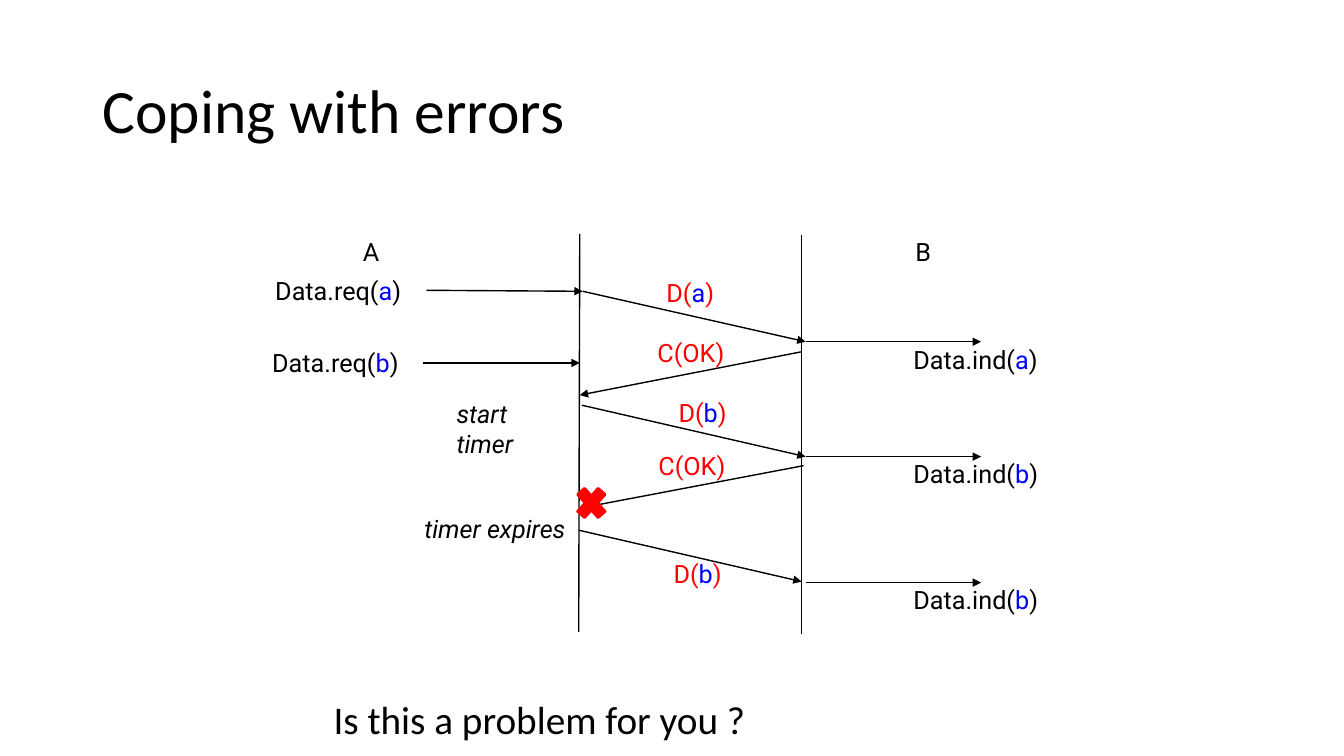
from dataclasses import dataclass
from typing import Any

from lxml.etree import SubElement
from pptx import Presentation
from pptx.dml.color import RGBColor
from pptx.enum.shapes import MSO_CONNECTOR, MSO_SHAPE
from pptx.enum.text import MSO_ANCHOR
from pptx.oxml.ns import qn
from pptx.util import Inches, Pt

BLACK, RED, BLUE = "000000", "FF0000", "0000FF"
LIFELINE_A, LIFELINE_B = 5.75, 7.95
ARROW_B, IND_END = 7.99, 9.73
LABEL_H = 0.26

Runs = tuple[tuple[str, str], ...]


@dataclass(frozen=True)
class Label:
    x: float
    y: float
    w: float
    h: float
    runs: Runs
    size: int = 18
    font: str = "Roboto"
    italic: bool = False
    spacing: float = 1.0
    padded: bool = True
    wrap: bool = False
    anchor: MSO_ANCHOR = MSO_ANCHOR.TOP


@dataclass(frozen=True)
class Line:
    x1: float
    y1: float
    x2: float
    y2: float
    arrow: bool = True


def rgb(color: str) -> RGBColor:
    return RGBColor.from_string(color)


def apply(target: Any, values: dict[str, Any]) -> None:
    for name, value in values.items():
        setattr(target, name, value)


def primitive(name: str, arg: str, color: str = BLACK) -> Runs:
    return (f"{name}(", color), (arg, BLUE), (")", color)


def tight(x: float, y: float, w: float, runs: Runs) -> Label:
    return Label(x, y, w, LABEL_H, runs, spacing=0.84, padded=False)


def add_label(slide: Any, label: Label) -> None:
    box = (Inches(v) for v in (label.x, label.y, label.w, label.h))
    tf = slide.shapes.add_textbox(*box).text_frame
    pad_x, pad_y = (Inches(0.1), Inches(0.05)) if label.padded else (0, 0)
    apply(tf, {
        "word_wrap": label.wrap,
        "vertical_anchor": label.anchor,
        "margin_left": pad_x,
        "margin_right": pad_x,
        "margin_top": pad_y,
        "margin_bottom": pad_y,
    })
    p = tf.paragraphs[0]
    p.line_spacing = label.spacing
    for text, color in label.runs:
        r = p.add_run()
        r.text = text
        apply(r.font, {"name": label.font, "size": Pt(label.size), "italic": label.italic})
        r.font.color.rgb = rgb(color)


def add_line(slide: Any, line: Line) -> None:
    ends = (Inches(v) for v in (line.x1, line.y1, line.x2, line.y2))
    sp = slide.shapes.add_connector(MSO_CONNECTOR.STRAIGHT, *ends)
    sp.line.width = Pt(1)
    sp.line.color.rgb = rgb(BLACK)
    if line.arrow:
        SubElement(sp.line._get_or_add_ln(), qn("a:tailEnd"), type="triangle")
    SubElement(sp._element.spPr, qn("a:effectLst"))


def add_loss_cross(slide: Any) -> None:
    box = (Inches(v) for v in (5.67, 4.77, 0.39, 0.44))
    sp = slide.shapes.add_shape(MSO_SHAPE.MATH_MULTIPLY, *box)
    sp.shadow.inherit = False
    sp.fill.solid()
    sp.fill.fore_color.rgb = rgb(RED)
    sp.line.color.rgb = rgb(RED)
    sp.line.width = Pt(2)


LINES = [
    Line(LIFELINE_A, 2.32, 5.74, 6.27, arrow=False),
    Line(LIFELINE_B, 2.33, LIFELINE_B, 6.29, arrow=False),
    Line(4.23, 2.88, 5.78, 2.89),
    Line(4.2, 3.6, LIFELINE_A, 3.6),
    Line(5.78, 2.89, ARROW_B, 3.39),
    Line(LIFELINE_B, 3.49, LIFELINE_A, 3.92),
    Line(5.77, 4.02, ARROW_B, 4.53),
    Line(7.97, 4.62, 5.76, 5.04),
    Line(5.74, 5.26, LIFELINE_B, 5.77),
]

LABELS = [
    Label(0.92, 0.4, 11.5, 1.45, (("Coping with errors", BLACK),), size=44,
          font="Calibri", spacing=0.9, wrap=True, anchor=MSO_ANCHOR.MIDDLE),
    tight(3.6, 2.39, 0.16, (("A", BLACK),)),
    tight(9.08, 2.39, 0.16, (("B", BLACK),)),
    tight(2.73, 2.78, 1.28, primitive("Data.req", "a")),
    tight(2.7, 3.49, 1.28, primitive("Data.req", "b")),
    tight(6.61, 2.8, 0.49, primitive("D", "a", RED)),
    tight(6.73, 3.99, 0.49, primitive("D", "b", RED)),
    tight(6.68, 5.59, 0.49, primitive("D", "b", RED)),
    tight(6.52, 3.39, 0.71, (("C(OK)", RED),)),
    tight(6.53, 4.52, 0.71, (("C(OK)", RED),)),
    Label(4.43, 3.9, 1.32, 0.4, (("start timer", BLACK),), italic=True),
    Label(4.11, 5.04, 1.65, 0.4, (("timer expires", BLACK),), italic=True),
    Label(3.21, 6.85, 4.33, 0.57, (("Is this a problem for you ?", BLACK),),
          size=28, font="Calibri"),
]

INDICATIONS = [(3.39, "a"), (4.53, "b"), (5.78, "b")]


def main() -> None:
    prs = Presentation()
    apply(prs, {"slide_width": Inches(13.33), "slide_height": Inches(7.5)})
    s = prs.slides.add_slide(prs.slide_layouts[6])
    for line in LINES:
        add_line(s, line)
    for label in LABELS:
        add_label(s, label)
    for y, arg in INDICATIONS:
        add_line(s, Line(ARROW_B, y, IND_END, y))
        add_label(s, tight(9.06, y + 0.07, 1.25, primitive("Data.ind", arg)))
    add_loss_cross(s)
    prs.save("out.pptx")


if __name__ == "__main__":
    main()
